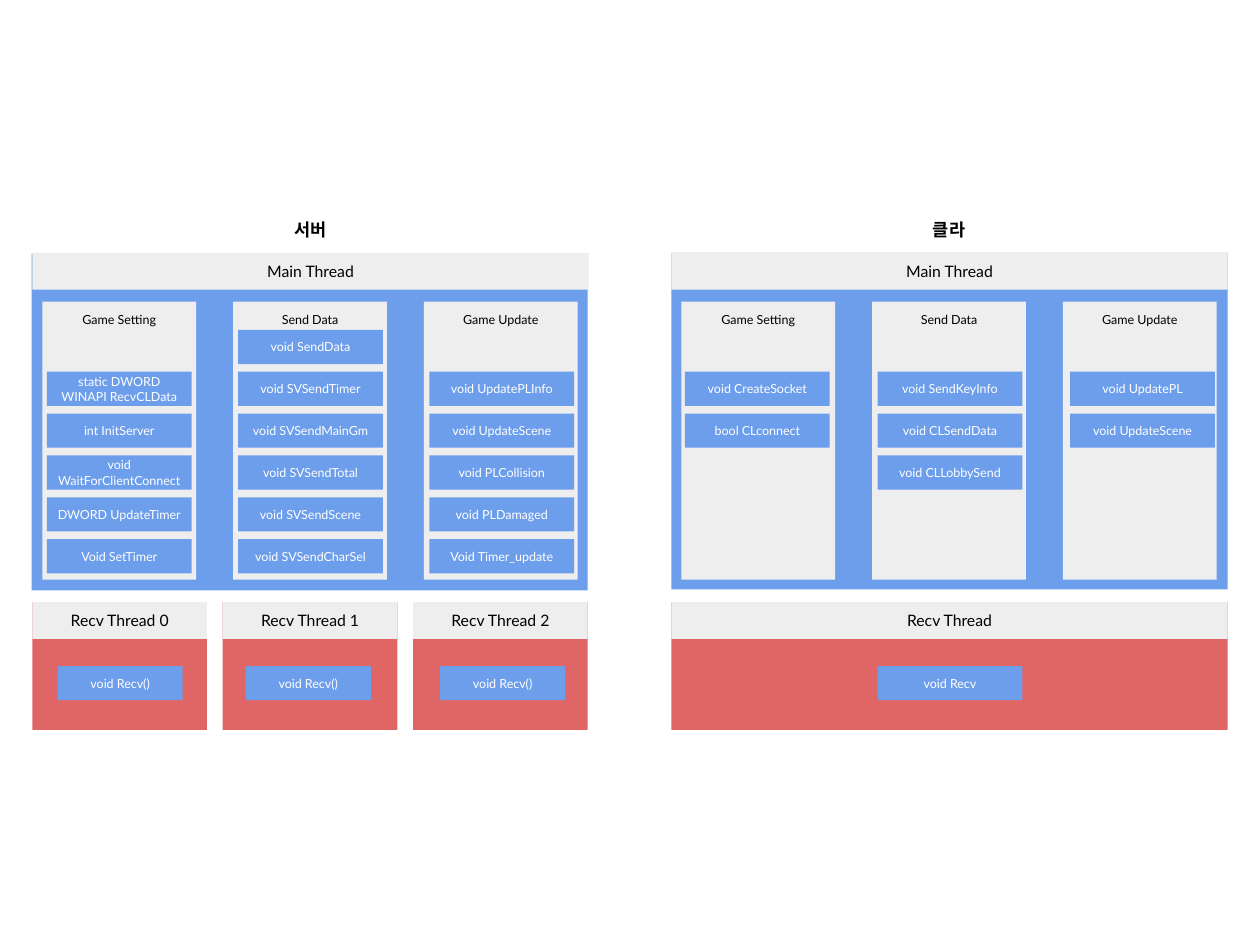
from dataclasses import dataclass

from pptx import Presentation
from pptx.dml.color import RGBColor
from pptx.enum.shapes import MSO_SHAPE as SHAPE
from pptx.enum.text import MSO_ANCHOR as ANCHOR, PP_ALIGN as ALIGN
from pptx.util import Inches, Pt

COLS, ROWS = 140, 105
BLUE, RED, GREY, BLACK, WHITE = "6D9EEB", "E06666", "EEEEEE", "000000", "FFFFFF"

CARD_W, CARD_STEP, CARD_TOP, CARD_H = 17.1, 21.2, 33.5, 30.9
BOX_W, BOX_H, BOX_TOP, BOX_STEP = 16.1, 3.8, 41.3, 4.65
THREAD_W, HEADER_H = 61.8, 4.1
MAIN_TOP, MAIN_H = 28.1, 37.4
RECV_TOP, RECV_H, CALL_TOP = 66.9, 14.2, 74

# Each card: heading, heading width, first row, functions.
# Each receiver: heading, left, width, call left, call width, call text.
SIDES = [
    {
        "title": "서버", "title_x": 30.5, "header_x": 3.6,
        "panel": (3.5, 28.2), "card_x": 4.7, "box_x": 5.2, "box_step": 21.25,
        "cards": [
            ("Game Setting", 10.6, 0,
             ["static DWORD WINAPI RecvCLData", "int InitServer",
              "void WaitForClientConnect", "DWORD UpdateTimer", "Void SetTimer"]),
            ("Send Data", 12.4, -1,
             ["void SendData", "void SVSendTimer", "void SVSendMainGm",
              "void SVSendTotal", "void SVSendScene", "void SVSendCharSel"]),
            ("Game Update", 12.4, 0,
             ["void UpdatePLInfo", "void UpdateScene", "void PLCollision",
              "void PLDamaged", "Void Timer_update"]),
        ],
        "receivers": [
            (f"Recv Thread {i}", 3.6 + 21.15 * i, 19.4, call_x, 13.9, "void Recv()")
            for i, call_x in enumerate((6.4, 27.3, 48.9))
        ],
    },
    {
        "title": "클라", "title_x": 101.4, "header_x": 74.6,
        "panel": (74.6, 28.1), "card_x": 75.7, "box_x": 76.1, "box_step": 21.4,
        "cards": [
            ("Game Setting", 10.6, 0, ["void CreateSocket", "bool CLconnect"]),
            ("Send Data", 10.6, 0,
             ["void SendKeyInfo", "void CLSendData", "void CLLobbySend"]),
            ("Game Update", 12.4, 0, ["void UpdatePL", "void UpdateScene"]),
        ],
        "receivers": [("Recv Thread", 74.6, THREAD_W, 97.5, BOX_W, "void Recv")],
    },
]


def color(value):
    return RGBColor.from_string(value)


@dataclass
class Board:
    """Draws on one slide; places and sizes are in grid columns and rows."""
    prs: object
    s: object
    font: str = "Lato"

    def place(self, x, y, w, h):
        col, row = self.prs.slide_width / COLS, self.prs.slide_height / ROWS
        return [round(v) for v in (x * col, y * row, w * col, h * row)]

    def set_text(self, sp, text, size, ink, inset, bold=False):
        tf = sp.text_frame
        frame = {"word_wrap": True, "vertical_anchor": ANCHOR.MIDDLE}
        frame |= {f"margin_{side}": Inches(inset)
                  for side in ("left", "top", "right", "bottom")}
        for name, value in frame.items():
            setattr(tf, name, value)
        p = tf.paragraphs[0]
        p.alignment = ALIGN.CENTER
        r = p.add_run()
        r.text = text
        for name, value in {"name": self.font, "size": Pt(size), "bold": bold}.items():
            setattr(r.font, name, value)
        r.font.color.rgb = color(ink)

    def panel(self, x, y, w, h, fill):
        sp = self.s.shapes.add_shape(SHAPE.RECTANGLE, *self.place(x, y, w, h))
        sp.shadow.inherit = False
        sp.fill.solid()
        sp.fill.fore_color.rgb = color(fill)
        sp.line.fill.background()
        return sp

    def header(self, x, y, w, text):
        self.set_text(self.panel(x, y, w, HEADER_H, GREY), text, 12.6, BLACK, 0.14)

    def function(self, x, y, text, w=BOX_W):
        self.set_text(self.panel(x, y, w, BOX_H, BLUE), text, 10, WHITE, 0.1)

    def label(self, x, y, w, h, text, size=10, inset=0.1, bold=False):
        sp = self.s.shapes.add_textbox(*self.place(x, y, w, h))
        self.set_text(sp, text, size, BLACK, inset, bold)

    def main_thread(self, side):
        self.panel(*side["panel"], THREAD_W, MAIN_H, BLUE)
        self.header(side["header_x"], MAIN_TOP, THREAD_W, "Main Thread")
        for i, (heading, width, first_row, functions) in enumerate(side["cards"]):
            x = side["card_x"] + i * CARD_STEP
            self.panel(x, CARD_TOP, CARD_W, CARD_H, GREY)
            self.label(x + (CARD_W - width) / 2, CARD_TOP, width, 4, heading)
            for row, name in enumerate(functions, first_row):
                self.function(side["box_x"] + i * side["box_step"],
                              BOX_TOP + row * BOX_STEP, name)

    def receiver(self, heading, x, w, call_x, call_w, call):
        self.panel(x, RECV_TOP, w, RECV_H, RED)
        self.header(x, RECV_TOP, w, heading)
        self.function(call_x, CALL_TOP, call, call_w)


def main():
    prs = Presentation()
    prs.slide_width, prs.slide_height = Inches(14), Inches(10.5)
    board = Board(prs, prs.slides.add_slide(prs.slide_layouts[6]))
    for side in SIDES:
        board.label(side["title_x"], 23.8, 8.1, 3.5, side["title"], 14, 0.14, True)
        board.main_thread(side)
        for receiver in side["receivers"]:
            board.receiver(*receiver)
    prs.save("out.pptx")


if __name__ == "__main__":
    main()
